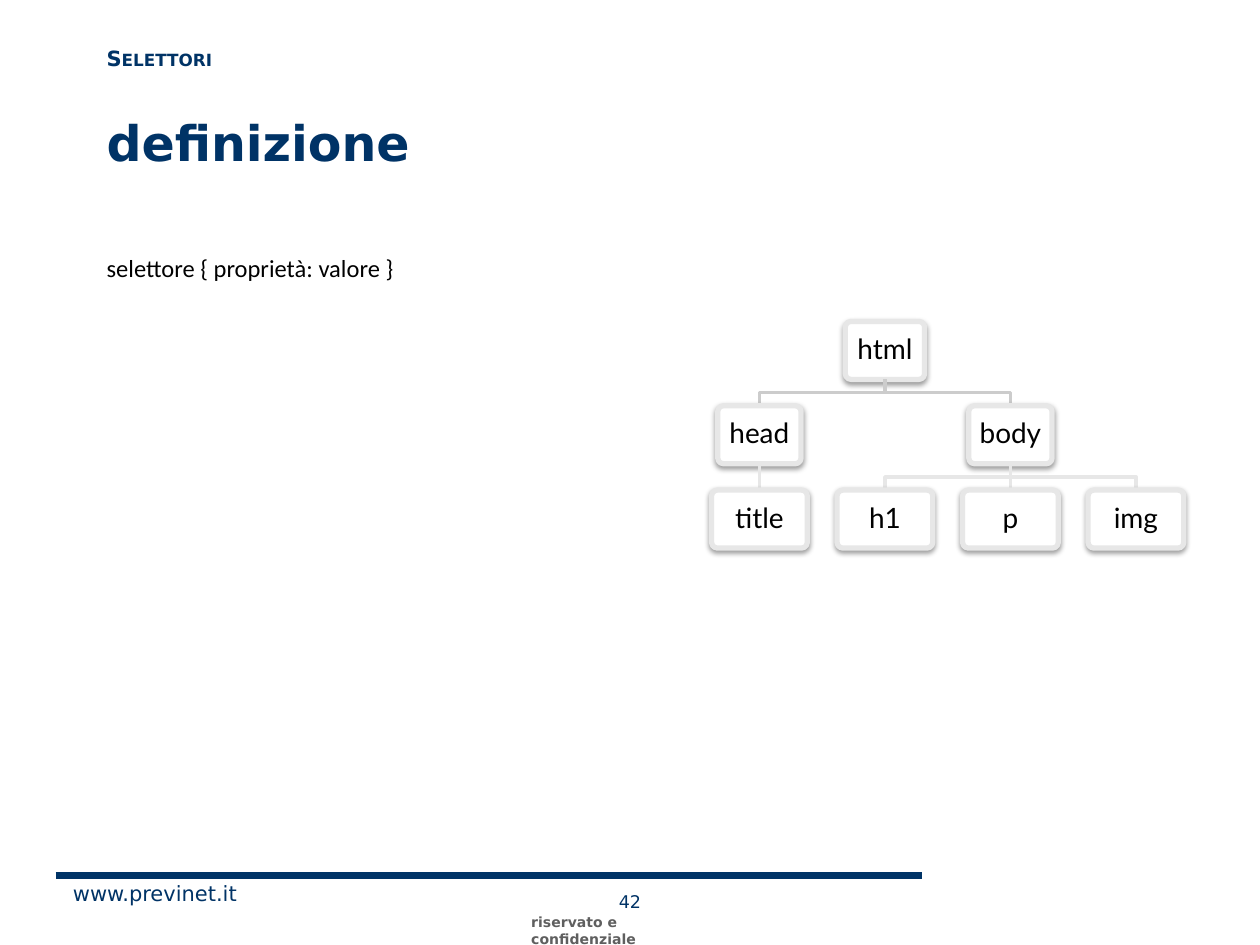
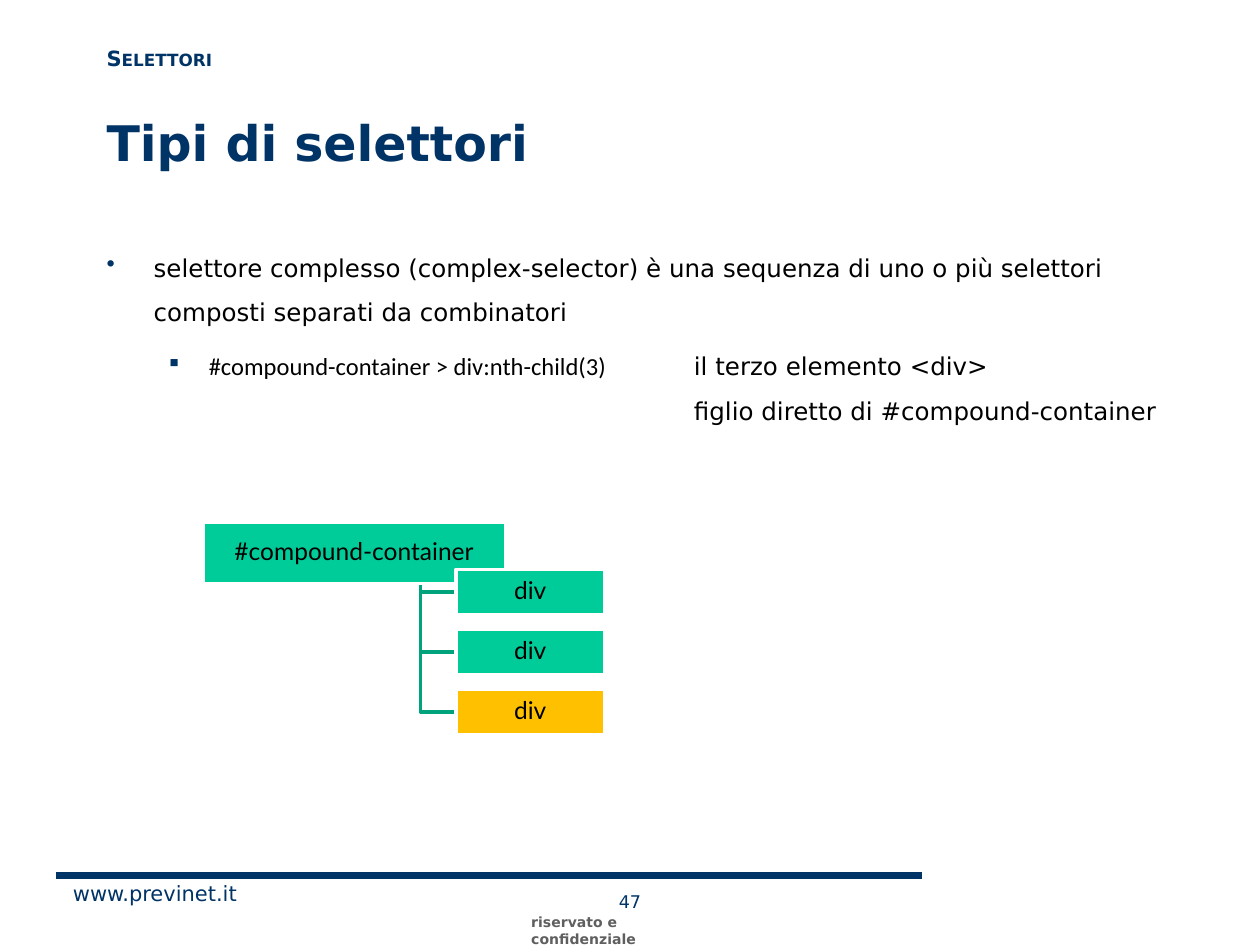
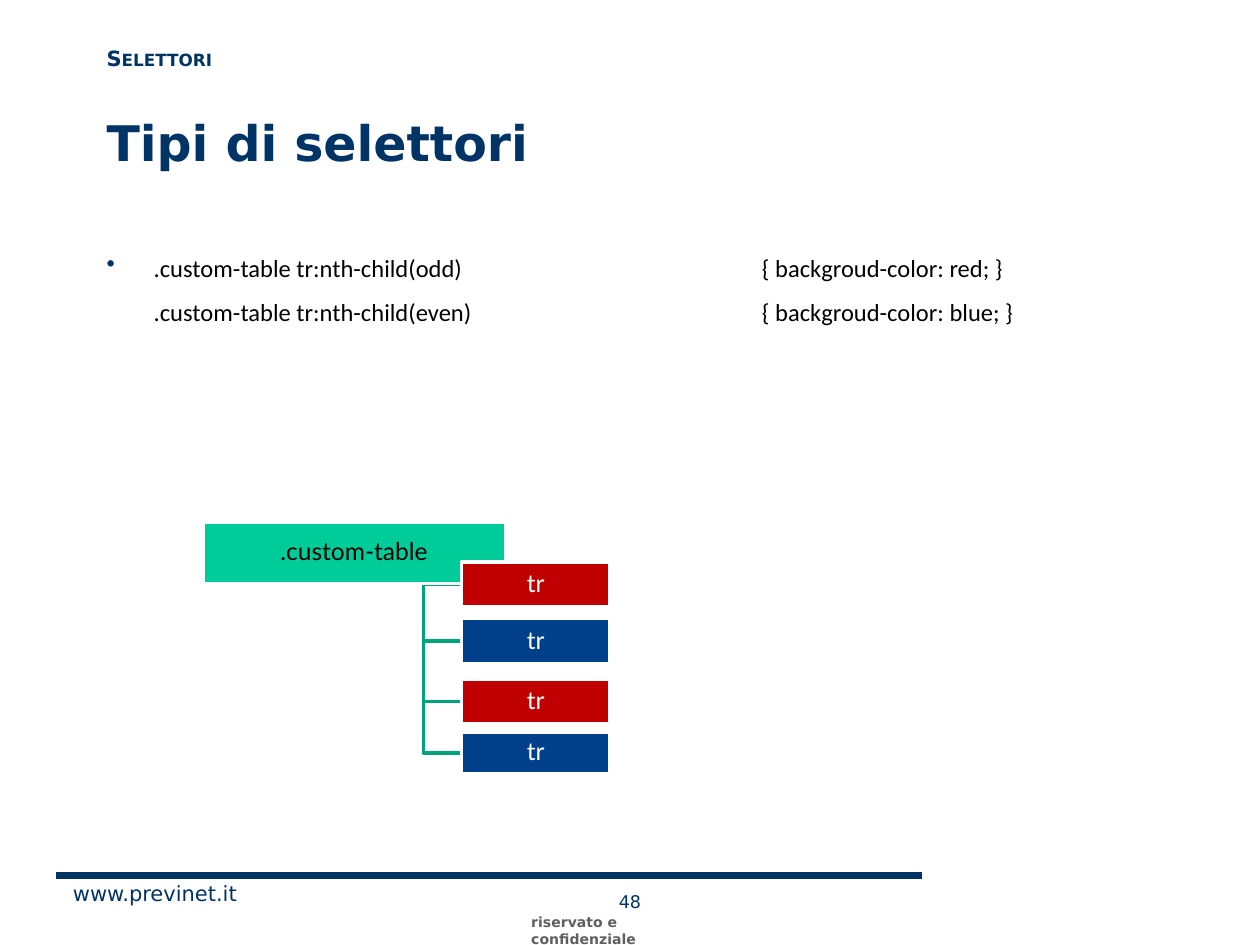
"""Build three slides on CSS selectors with tree diagrams."""
from dataclasses import dataclass, replace

from lxml import etree
from pptx import Presentation, util as u
from pptx.dml.color import RGBColor
from pptx.enum import shapes, text
from pptx.oxml import ns


@dataclass(frozen=True)
class Type:
    size: float
    face: str
    ink: str
    bold: bool = False
    small: bool = False


@dataclass(frozen=True)
class Theme:
    navy: str = "003366"
    white: str = "FFFFFF"
    green: str = "00CC99"
    teal: str = "00A37B"
    gold: str = "FFC000"
    red: str = "C00000"
    blue: str = "00408A"
    edge: str = "E7E7E7"
    grey: str = "CCCCCC"
    title: Type = Type(28, "DejaVu Sans", "003366", bold=True)
    topic: Type = Type(12, "DejaVu Sans", "003366", bold=True, small=True)
    site: Type = Type(12, "DejaVu Sans", "003366")
    page: Type = Type(10, "DejaVu Sans", "003366")
    note: Type = Type(8, "DejaVu Sans", "5F5F5F", bold=True)
    body: Type = Type(14, "DejaVu Sans", "000000")
    code: Type = Type(14, "Calibri", "000000")
    wide: Type = Type(16, "DejaVu Sans", "000000")
    node: Type = Type(16, "Lato", "000000")
    item: Type = Type(14, "Lato", "000000")


@dataclass(frozen=True)
class Bullet:
    mark: str
    left: float
    hang: float
    tab: float
    level: int = 0
    scale: int = 100


def rgb(code):
    return RGBColor.from_string(code)


def child(parent, tag, **attrs):
    return etree.SubElement(parent, ns.qn("a:" + tag), {k: str(v) for k, v in attrs.items()})


class Deck:
    """Hold the theme and the current slide."""

    def __init__(self, theme):
        self.theme = theme
        self.file = Presentation()
        self.file.slide_width, self.file.slide_height = u.Cm(25.4), u.Cm(19.05)

    def page(self, number, title):
        t = self.theme
        self.slide = self.file.slides.add_slide(self.file.slide_layouts[6])
        self.rule(1.12, 17.65, 18.59, 17.65, t.navy, 4.5)
        self.label("www.previnet.it", t.site, 1.22, 17.63, 3.89, 0.76, wrap=False)
        self.label(str(number), t.page, 11.53, 17.83, 2.34, 0.48, align=text.PP_ALIGN.CENTER)
        note = self.label("riservato e confidenziale", t.note, 10.46, 18.29, 4.45, 0.58)
        note.margin_right = u.Cm(1.6)
        middle = text.MSO_ANCHOR.MIDDLE
        self.label(title, t.title, 1.9, 1.27, 21.59, 3.18, anchor=middle)
        self.label("Selettori", t.topic, 1.9, -0.41, 21.59, 3.18, anchor=middle)

    def frame(self, x, y, w, h, wrap=True):
        box = self.slide.shapes.add_textbox(u.Cm(x), u.Cm(y), u.Cm(w), u.Cm(h))
        box.text_frame.word_wrap = wrap
        return box.text_frame

    def label(self, words, style, x, y, w, h, wrap=True, align=None, anchor=None):
        frame = self.frame(x, y, w, h, wrap)
        frame.vertical_anchor = anchor
        frame.paragraphs[0].alignment = align
        self.runs(frame.paragraphs[0], [(words, style)])
        return frame

    def runs(self, par, spans):
        for words, style in spans:
            if words == "\n":
                par.add_line_break()
                child(par._p[-1], "rPr", sz=style.size * 100)
                continue
            run = par.add_run()
            run.text = words
            run.font.size = u.Pt(style.size)
            run.font.name = style.face
            run.font.bold = style.bold
            run.font.color.rgb = rgb(style.ink)
            if style.small:
                run._r.get_or_add_rPr().set("cap", "small")

    def body(self, rows, width=22.78):
        frame = self.frame(1.9, 4.67, width, 11.86)
        for i, (bullet, spans) in enumerate(rows):
            par = frame.add_paragraph() if i else frame.paragraphs[0]
            if bullet:
                self.mark(par, bullet)
            par.line_spacing = 1.5
            if i:
                par.space_before = u.Pt(2.8)
            self.runs(par, spans)

    def mark(self, par, bullet):
        par.level = bullet.level
        props = par._p.get_or_add_pPr()
        props.set("marL", str(u.Cm(bullet.left)))
        props.set("indent", str(-u.Cm(bullet.hang)))
        child(child(props, "buClr"), "srgbClr", val=self.theme.navy)
        child(props, "buSzPct", val=bullet.scale * 1000)
        child(props, "buChar", char=bullet.mark)
        child(child(props, "tabLst"), "tab", pos=u.Cm(bullet.tab), algn="l")

    def rule(self, x1, y1, x2, y2, ink, width=2):
        line = self.slide.shapes.add_connector(
            shapes.MSO_CONNECTOR.STRAIGHT, u.Cm(x1), u.Cm(y1), u.Cm(x2), u.Cm(y2))
        line.line.color.rgb = rgb(ink)
        line.line.width = u.Pt(width)
        child(line._element.spPr, "effectLst")

    def elbow(self, points, ink):
        spots = [(u.Cm(x), u.Cm(y)) for x, y in points]
        pen = self.slide.shapes.build_freeform(*spots[0])
        pen.add_line_segments(spots[1:], close=False)
        shape = pen.convert_to_shape()
        shape.shadow.inherit = False
        shape.fill.background()
        shape.line.color.rgb = rgb(ink)
        shape.line.width = u.Pt(2)

    def box(self, words, style, x, y, w, h, fill, edge, width=2, soft=False):
        kind = shapes.MSO_SHAPE.ROUNDED_RECTANGLE if soft else shapes.MSO_SHAPE.RECTANGLE
        shape = self.slide.shapes.add_shape(kind, u.Cm(x), u.Cm(y), u.Cm(w), u.Cm(h))
        shape.shadow.inherit = False
        shape.fill.solid()
        shape.fill.fore_color.rgb = rgb(fill)
        shape.line.color.rgb = rgb(edge)
        shape.line.width = u.Pt(width)
        if soft:
            shape.adjustments[0] = 0.1
            self.shade(shape)
        frame = shape.text_frame
        frame.word_wrap = True
        frame.vertical_anchor = text.MSO_ANCHOR.MIDDLE
        frame.margin_left = frame.margin_right = u.Cm(0.03)
        frame.margin_top = frame.margin_bottom = u.Cm(0.03)
        par = frame.paragraphs[0]
        par.alignment = text.PP_ALIGN.CENTER
        par.line_spacing = 0.9
        self.runs(par, [(words, style)])

    def shade(self, shape):
        effects = shape._element.spPr.find(ns.qn("a:effectLst"))
        glow = child(effects, "outerShdw", blurRad=u.Pt(3.1), dist=u.Pt(1.6),
                     dir=5400000, rotWithShape=0)
        child(child(glow, "srgbClr", val="000000"), "alpha", val=38000)

    def tree(self, nodes):
        """Draw nodes given as name, column, level, width and parent column."""
        t = self.theme
        left, top, across, down, tall = 15.31, 6.48, 2.53, 1.7, 1.17
        for name, col, level, width, parent in nodes:
            x, y = left + col * across, top + level * down
            if parent is not None:
                start, mid = y - down + tall, y - (down - tall) / 2
                px = left + parent * across
                ink = t.grey if level == 1 else t.edge
                if parent == col:
                    self.rule(x, start, x, y, ink)
                else:
                    self.elbow([(px, start), (px, mid), (x, mid), (x, y)], ink)
            self.box(name, t.node, x - width / 2, y, width, tall, t.white, t.edge, 3, soft=True)

    def branch(self, root, x, items, style):
        """Draw a root box with items given as name, fill, top and height."""
        t = self.theme
        sx, sy = 7.77, 11.14
        mid = (sx + x) / 2
        for _, _, y, h in reversed(items):
            end = y + h / 2
            self.elbow([(sx, sy), (mid, sy), (mid, end), (x, end)], t.teal)
        self.box(root, t.item, 4.09, 10.52, 6.1, 1.24, t.green, t.white)
        for name, fill, y, h in items:
            self.box(name, style, x, y, 3, h, fill, t.white)


def main():
    t = Theme()
    deck = Deck(t)

    deck.page(42, "definizione")
    deck.body([(None, [("selettore { proprietà: valore }", t.code)])], 11.79)
    deck.tree([
        ("html", 1, 0, 1.6, None),
        ("head", 0, 1, 1.68, 1),
        ("title", 0, 2, 1.93, 0),
        ("body", 2, 1, 1.68, 1),
        ("h1", 1, 2, 1.93, 2),
        ("p", 2, 2, 1.93, 2),
        ("img", 3, 2, 1.93, 2),
    ])

    deck.page(47, "Tipi di selettori")
    deck.body([
        (Bullet("•", 0.95, 0.95, 10.46), [
            ("selettore complesso (complex-selector) è una sequenza di uno o più "
             "selettori composti separati da combinatori", t.body)]),
        (Bullet("■", 2.06, 0.79, 11.84, level=1, scale=50), [
            ("#compound-container > div:nth-child(3)", t.code),
            ("\t", t.wide),
            ("il terzo elemento <div>", t.body),
            ("\n", t.body),
            ("\tfiglio diretto di #compound-container", t.body)]),
    ])
    fills = (t.green, t.green, t.gold)
    deck.branch("#compound-container", 9.19,
                [("div", fill, 11.48 + 1.21 * i, 0.91) for i, fill in enumerate(fills)],
                t.item)

    deck.page(48, "Tipi di selettori")
    deck.body([(Bullet("•", 0.95, 0.95, 13.21), [
        (".custom-table tr:nth-child(odd)\t{ backgroud-color: red; }", t.code),
        ("\n", t.code),
        (".custom-table tr:nth-child(even)\t{ backgroud-color: blue; }", t.code)])])
    deck.branch(".custom-table", 9.3, [
        ("tr", t.red, 11.33, 0.91),
        ("tr", t.blue, 12.47, 0.91),
        ("tr", t.red, 13.69, 0.91),
        ("tr", t.blue, 14.76, 0.84),
    ], replace(t.item, ink=t.white))

    deck.file.save("out.pptx")


if __name__ == "__main__":
    main()
